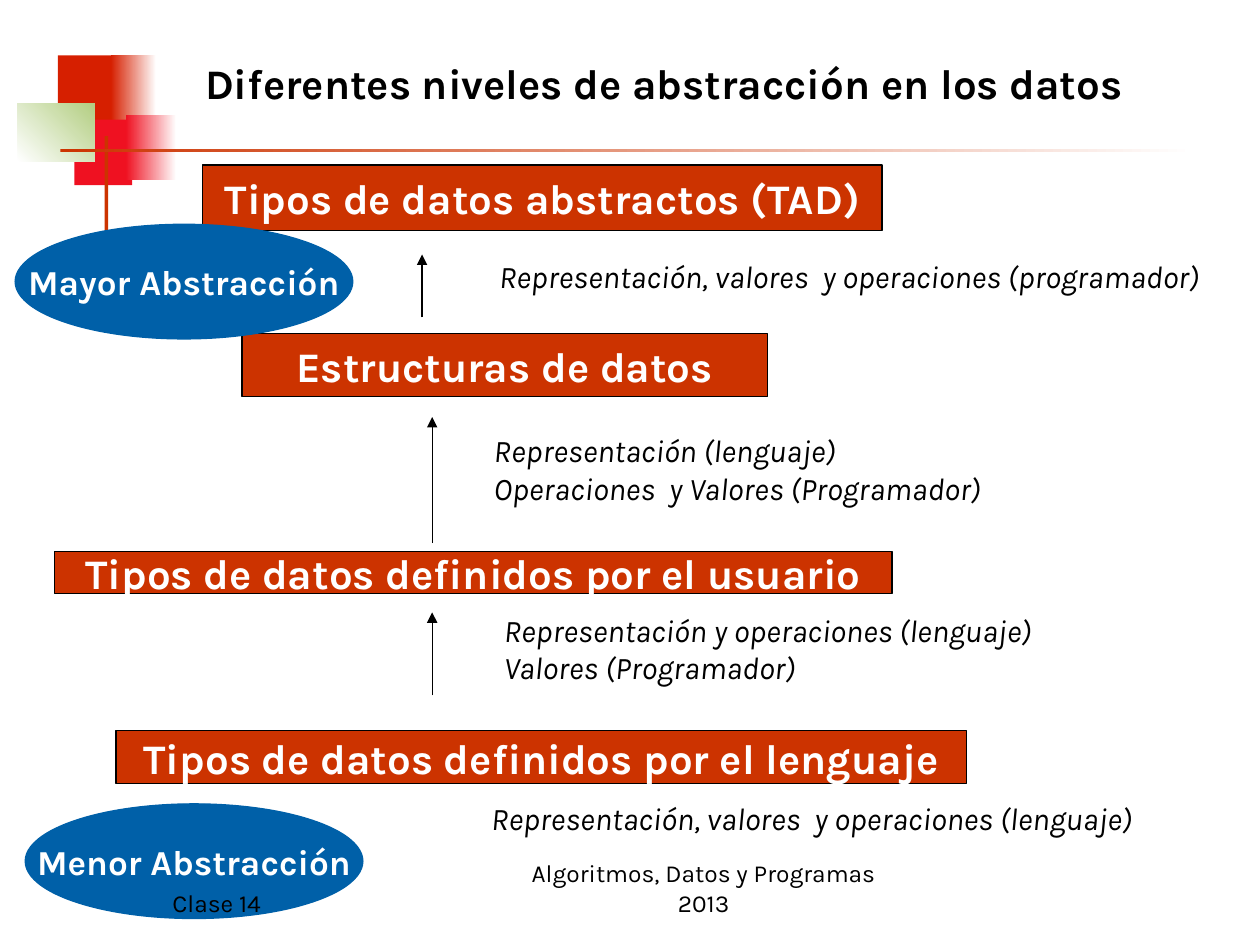
from dataclasses import dataclass

from lxml import etree
from pptx import Presentation
from pptx.dml.color import RGBColor
from pptx.enum.shapes import MSO_CONNECTOR, MSO_SHAPE
from pptx.enum.text import MSO_ANCHOR, PP_ALIGN
from pptx.oxml.ns import qn
from pptx.util import Inches, Pt

RECTANGLE, OVAL = MSO_SHAPE.RECTANGLE, MSO_SHAPE.OVAL
STRAIGHT = MSO_CONNECTOR.STRAIGHT
LEFT, CENTER, JUSTIFY = PP_ALIGN.LEFT, PP_ALIGN.CENTER, PP_ALIGN.JUSTIFY
TOP, MIDDLE, BOTTOM = MSO_ANCHOR.TOP, MSO_ANCHOR.MIDDLE, MSO_ANCHOR.BOTTOM


@dataclass(frozen=True)
class Theme:
    """Colours, font and type sizes of the slide."""
    font: str = "Karla"
    black: str = "000000"
    white: str = "FFFFFF"
    brick: str = "CC3300"
    red: str = "D61F00"
    scarlet: str = "EF1121"
    green: str = "B3CE82"
    blue: str = "0060A8"
    heading: int = 24
    level: int = 20
    note: int = 18
    footer: int = 14
    line: float = 0.75


THEME = Theme()


def rgb(value):
    """Turn a hex string into a colour."""
    return RGBColor.from_string(value)


def write(shape, lines, size, color=THEME.black, align=LEFT, anchor=MIDDLE,
          wrap=True, bold=False, italic=False):
    """Fill a shape with one paragraph per line."""
    frame = shape.text_frame
    frame.word_wrap = wrap
    frame.vertical_anchor = anchor
    font_format = {"name": THEME.font, "size": Pt(size), "bold": bold, "italic": italic}
    for index, line in enumerate(lines):
        paragraph = frame.add_paragraph() if index else frame.paragraphs[0]
        paragraph.alignment = align
        run = paragraph.add_run()
        run.text = line
        for name, value in font_format.items():
            setattr(run.font, name, value)
        run.font.color.rgb = rgb(color)


def add_block(slide, box, fill, kind=RECTANGLE, outline=None):
    """Add a plain filled shape."""
    shape = slide.shapes.add_shape(kind, *map(Inches, box))
    shape.shadow.inherit = False
    shape.fill.solid()
    shape.fill.fore_color.rgb = rgb(fill)
    if outline:
        shape.line.color.rgb = rgb(outline)
        shape.line.width = Pt(THEME.line)
    else:
        shape.line.fill.background()
    return shape


def add_fade(slide, box, start, end, angle=0):
    """Add a borderless block that fades between two colours."""
    fill = add_block(slide, box, start).fill
    fill.gradient()
    fill.gradient_angle = angle
    for stop, color in zip(fill.gradient_stops, (start, end)):
        stop.color.rgb = rgb(color)


def add_label(slide, box, text, size, fill, outline, kind=RECTANGLE):
    """Add a filled shape with bold white centred text."""
    shape = add_block(slide, box, fill, kind, outline)
    write(shape, [text], size, THEME.white, CENTER, wrap=False, bold=True)


def add_text(slide, box, lines, size, **text_format):
    """Add a text box."""
    write(slide.shapes.add_textbox(*map(Inches, box)), lines, size, **text_format)


def add_up_arrow(slide, x, bottom, top):
    """Add a thin vertical arrow pointing up."""
    arrow = slide.shapes.add_connector(STRAIGHT, *map(Inches, (x, bottom, x, top)))
    arrow.line.color.rgb = rgb(THEME.black)
    arrow.line.width = Pt(THEME.line)
    etree.SubElement(arrow.line._get_or_add_ln(), qn("a:tailEnd"), type="triangle")
    etree.SubElement(arrow._element.spPr, qn("a:effectLst"))


def add_decoration(slide):
    """Draw the coloured squares and the rules of the heading."""
    add_block(slide, (0.46, 0.44, 0.48, 0.52), THEME.red)
    add_fade(slide, (0.88, 0.44, 0.36, 0.52), THEME.red, THEME.white)
    add_block(slide, (0.59, 0.95, 0.46, 0.52), THEME.scarlet)
    add_fade(slide, (1, 0.91, 0.4, 0.52), THEME.scarlet, THEME.white)
    add_fade(slide, (0.14, 0.82, 0.61, 0.46), THEME.white, THEME.green, 45)
    add_block(slide, (0.83, 1.08, 0.03, 1.15), THEME.brick)
    add_fade(slide, (0.48, 1.18, 9, 0.03), THEME.brick, THEME.white)


def main():
    """Build and save the slide."""
    presentation = Presentation()
    presentation.slide_width, presentation.slide_height = Inches(10), Inches(7.5)
    slide = presentation.slides.add_slide(presentation.slide_layouts[6])
    add_decoration(slide)
    add_text(slide, (4, 6.83, 3.17, 0.5), ["Algoritmos, Datos y Programas 2013"],
             THEME.footer, align=CENTER, anchor=BOTTOM)

    levels = [
        ("Tipos de datos definidos por el lenguaje", (0.92, 5.8, 6.75, 0.42), None,
         ["Representación, valores  y operaciones (lenguaje)"],
         (3.8, 6.24, 5.77, 0.5), JUSTIFY),
        ("Tipos de datos definidos por el usuario", (0.43, 4.38, 6.65, 0.33),
         (3.43, 5.52, 4.86),
         ["Representación y operaciones (lenguaje)", "Valores (Programador)"],
         (3.9, 4.77, 5.25, 0.75), JUSTIFY),
        ("Estructuras de datos", (1.92, 2.65, 4.17, 0.5), (3.43, 4.31, 3.31),
         ["Representación (lenguaje)", "Operaciones  y Valores (Programador)"],
         (3.82, 3.31, 5.75, 0.83), JUSTIFY),
        ("Tipos de datos abstractos (TAD)", (1.61, 1.31, 5.39, 0.52),
         (3.35, 2.52, 2.02),
         ["Representación, valores  y operaciones (programador)"],
         (3.69, 1.86, 6.1, 0.66), CENTER),
    ]
    for name, box, arrow, notes, notes_box, align in levels:
        add_label(slide, box, name, THEME.heading, THEME.brick, THEME.black)
        if arrow:
            add_up_arrow(slide, *arrow)
        add_text(slide, notes_box, notes, THEME.note, align=align, italic=True)

    add_text(slide, (1.53, 0.41, 8.03, 0.5),
             ["Diferentes niveles de abstracción en los datos"],
             THEME.heading, anchor=TOP, bold=True)
    for name, left, top in (("Menor Abstracción", 0.2, 6.38),
                            ("Mayor Abstracción", 0.12, 1.78)):
        add_label(slide, (left, top, 2.68, 0.91), name, THEME.level,
                  THEME.blue, THEME.blue, OVAL)
    add_text(slide, (1.27, 6.83, 2.08, 0.5), ["Clase 14"], THEME.footer, anchor=BOTTOM)
    presentation.save("out.pptx")


if __name__ == "__main__":
    main()
